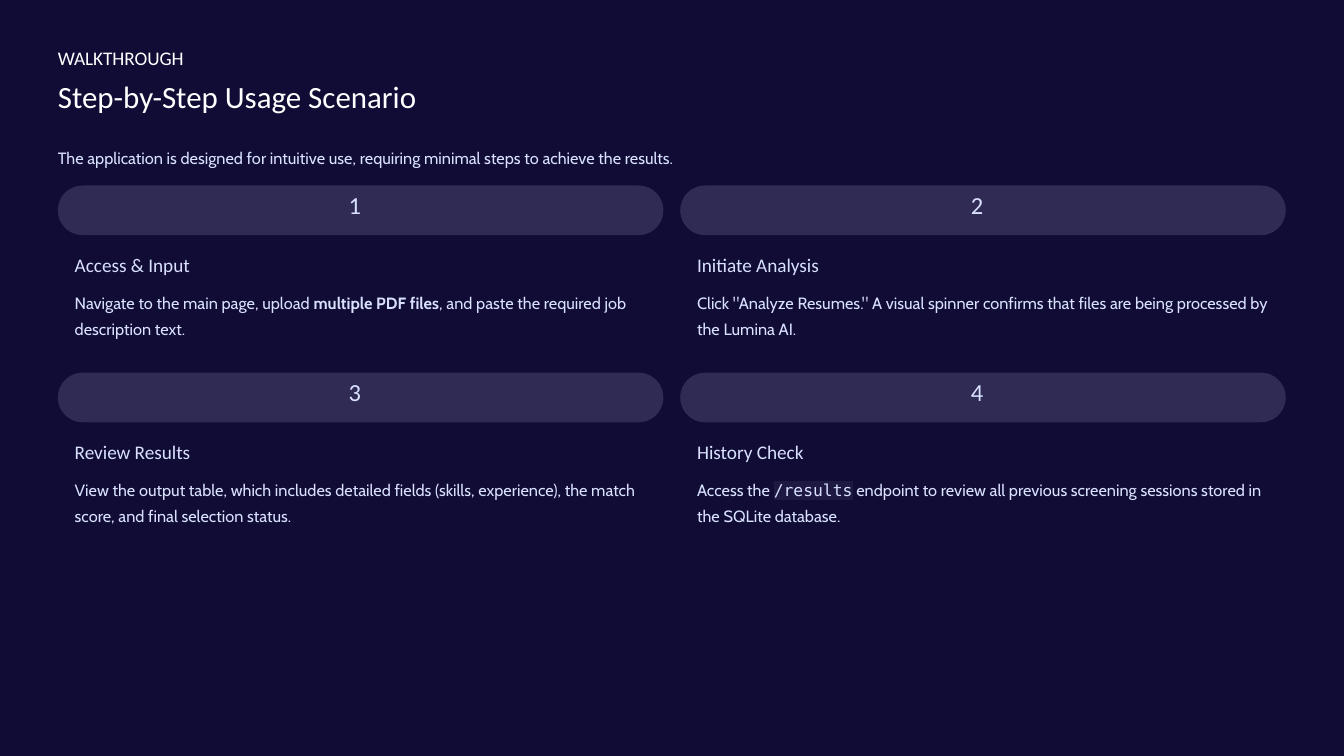
from lxml import etree
from pptx import Presentation
from pptx.dml.color import RGBColor
from pptx.enum.shapes import MSO_SHAPE
from pptx.oxml.ns import qn
from pptx.util import Cm, Pt

ROUNDED = MSO_SHAPE.ROUNDED_RECTANGLE
COLORS = {
    "background": "100C35",
    "title": "FFFFFF",
    "text": "D9E1FF",
    "pill": "2F2B54",
    "code": "1D1942",
}
HEADING_FONT, BODY_FONT, CODE_FONT = "Calibri", "Cabin", "DejaVu Sans Mono"

MARGIN, GRID_TOP = 1.75, 5.61
COLUMN_STEP, ROW_STEP = 18.82, 5.66
PILL_WIDTH, PILL_HEIGHT = 18.31, 1.5
INSET = 0.51

# Each step: heading, then (text, style) runs
STEPS = [
    ("Access & Input", [
        ("Navigate to the main page, upload ", None),
        ("multiple PDF files", "bold"),
        (", and paste the required job description text.", None)]),
    ("Initiate Analysis", [
        ('Click "Analyze Resumes." A visual spinner confirms that files are '
         "being processed by the Lumina AI.", None)]),
    ("Review Results", [
        ("View the output table, which includes detailed fields (skills, "
         "experience), the match score, and final selection status.", None)]),
    ("History Check", [
        ("Access the ", None),
        ("/results", "code"),
        (" endpoint to review all previous screening sessions stored in "
         "the SQLite database.", None)]),
]

presentation = Presentation()
presentation.slide_width, presentation.slide_height = Cm(40.64), Cm(22.86)
slide = presentation.slides.add_slide(presentation.slide_layouts[6])
background = slide.background.fill
background.solid()
background.fore_color.rgb = RGBColor.from_string(COLORS["background"])


def add_text(left, top, width, height, runs, font, size, line, color="text"):
    """Add a one-paragraph box; sizes in cm, font size and line height in points."""
    box = slide.shapes.add_textbox(Cm(left), Cm(top), Cm(width), Cm(height))
    frame = box.text_frame
    frame.word_wrap = True
    frame.margin_left = frame.margin_right = 0
    frame.margin_top = frame.margin_bottom = 0
    paragraph = frame.paragraphs[0]
    paragraph.line_spacing = Pt(line)
    for text, style in runs:
        run = paragraph.add_run()
        run.text = text
        run.font.name = CODE_FONT if style == "code" else font
        run.font.size = Pt(size)
        run.font.bold = style == "bold"
        run.font.color.rgb = RGBColor.from_string(COLORS[color])
        if style == "code":
            highlight = etree.Element(qn("a:highlight"))
            etree.SubElement(highlight, qn("a:srgbClr"), val=COLORS["code"])
            run.font.fill._xPr.find(qn("a:solidFill")).addnext(highlight)


add_text(MARGIN, 1.37, 5.92, 0.74, [("WALKTHROUGH", None)],
         HEADING_FONT, 16.5, 20.5, "title")
add_text(MARGIN, 2.31, 12.47, 1.19, [("Step-by-Step Usage Scenario", None)],
         HEADING_FONT, 26.5, 33, "title")
add_text(MARGIN, 4.27, 37.13, 0.81,
         [("The application is designed for intuitive use, requiring minimal "
           "steps to achieve the results.", None)], BODY_FONT, 14, 22.5)

for index, (heading, body) in enumerate(STEPS):
    row, column = divmod(index, 2)
    left = MARGIN + column * COLUMN_STEP
    top = GRID_TOP + row * ROW_STEP

    pill = slide.shapes.add_shape(
        ROUNDED, Cm(left), Cm(top), Cm(PILL_WIDTH), Cm(PILL_HEIGHT))
    pill.adjustments[0] = 0.5
    pill.shadow.inherit = False
    pill.fill.solid()
    pill.fill.fore_color.rgb = RGBColor.from_string(COLORS["pill"])
    pill.line.fill.background()

    add_text(left + 8.79, top + 0.28, 0.76, 0.94, [(str(index + 1), None)],
             HEADING_FONT, 21, 21)
    add_text(left + INSET, top + 2.01, 5.92, 0.74, [(heading, None)],
             HEADING_FONT, 16.5, 20.5)
    add_text(left + INSET, top + 3.05, PILL_WIDTH - 2 * INSET, 1.6, body,
             BODY_FONT, 14, 22.5)

presentation.save("out.pptx")
